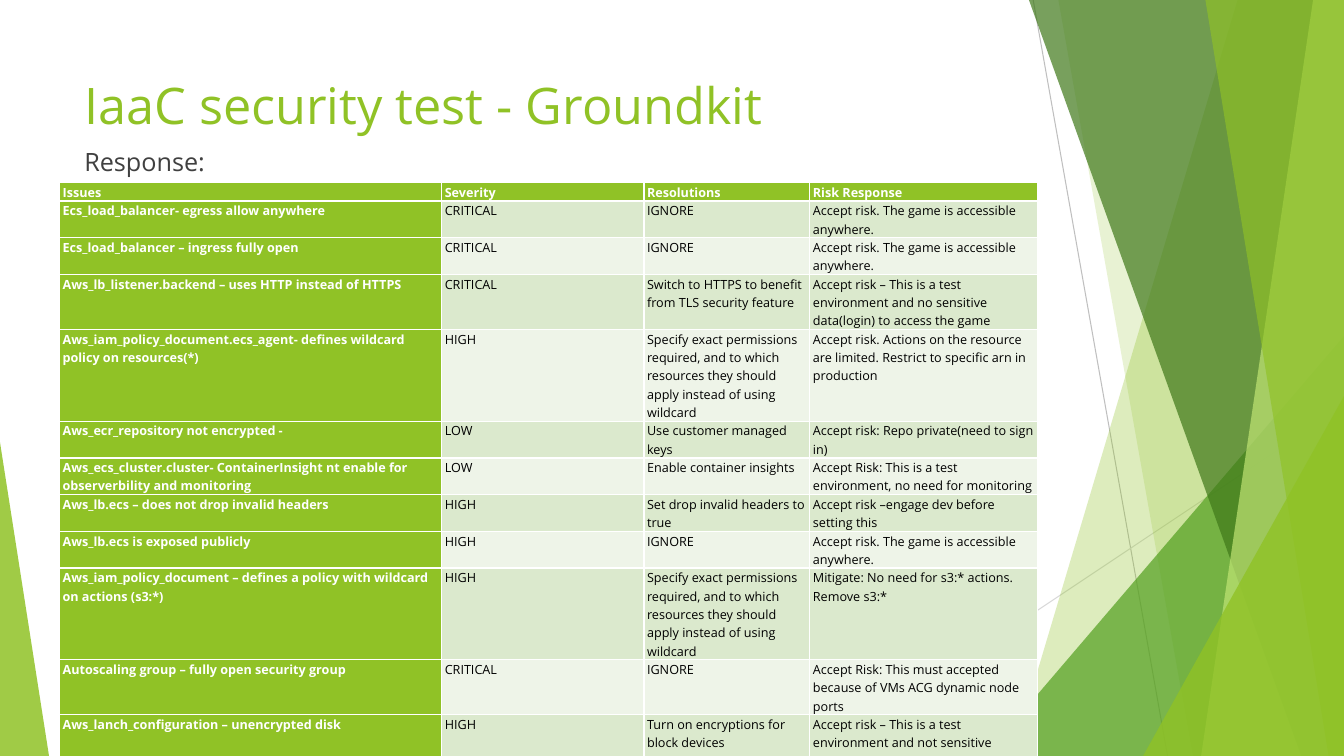
from dataclasses import dataclass

from lxml import etree
from pptx import Presentation
from pptx.dml.color import RGBColor
from pptx.enum.shapes import MSO_CONNECTOR, MSO_SHAPE
from pptx.enum.text import MSO_ANCHOR, MSO_AUTO_SIZE, PP_ALIGN
from pptx.oxml.ns import qn
from pptx.util import Pt

STRAIGHT = MSO_CONNECTOR.STRAIGHT
TRIANGLE = MSO_SHAPE.ISOSCELES_TRIANGLE
NO_AUTOFIT = MSO_AUTO_SIZE.NONE
MIDDLE, TOP = MSO_ANCHOR.MIDDLE, MSO_ANCHOR.TOP
LEFT = PP_ALIGN.LEFT
WIDTH, HEIGHT = 960, 540


@dataclass(frozen=True)
class Theme:
    """Colours, font and type sizes."""
    font: str = "Open Sans"
    title_size: int = 36
    body_size: int = 18
    cell_size: int = 9
    accent: str = "90C226"
    green: str = "54A021"
    dark_green: str = "3F7819"
    pale_green: str = "C0E474"
    odd_row: str = "DBE9CD"
    even_row: str = "EEF4E8"
    body_text: str = "404040"
    cell_text: str = "000000"
    header_text: str = "FFFFFF"
    steep_line: str = "BFBFBF"
    flat_line: str = "D9D9D9"


@dataclass(frozen=True)
class Ray:
    """A thin line between two points."""
    x1: float
    y1: float
    x2: float
    y2: float
    color: str


@dataclass(frozen=True)
class Band:
    """A full-height area from a slanted left edge to the right slide edge."""
    top_x: float
    bottom_x: float
    color: str
    opacity: int


@dataclass(frozen=True)
class Wedge:
    """A triangle on the bottom slide edge, with its apex at a share of its width."""
    left: float
    top: float
    width: float
    apex: float
    color: str
    opacity: int


@dataclass(frozen=True)
class Issue:
    """One table row and its least height."""
    name: str
    severity: str
    resolution: str
    response: str
    height: float


T = Theme()

DECORATION = [
    Ray(738, 0, 834, HEIGHT, T.steep_line),
    Ray(WIDTH, 290, 585, HEIGHT, T.flat_line),
    Band(884, 723, T.accent, 30),
    Band(756, 852, T.accent, 20),
    Wedge(703.5, 240, 256.5, 1, T.green, 72),
    Band(735, 929.5, T.dark_green, 70),
    Band(938, 858, T.pale_green, 70),
    Band(861, 949, T.accent, 65),
    Wedge(816.5, 283, 143.5, 1, T.accent, 80),
    Wedge(0, 316, 35, 0, T.accent, 85),
]

ACCESSIBLE = "Accept risk. The game is accessible anywhere."
TEST_ONLY = "Accept risk – This is a test environment and {} sensitive data(login) to access the game"
EXACT = ("Specify exact permissions required, and to which resources "
         "they should apply instead of using wildcard")
COLUMN_WIDTHS = [273, 144.5, 118.5, 162.5]
ISSUES = [
    Issue("Issues", "Severity", "Resolutions", "Risk Response", 8),
    Issue("Ecs_load_balancer- egress allow anywhere", "CRITICAL", "IGNORE", ACCESSIBLE, 22),
    Issue("Ecs_load_balancer – ingress fully open", "CRITICAL", "IGNORE", ACCESSIBLE, 22),
    Issue("Aws_lb_listener.backend – uses HTTP instead of HTTPS", "CRITICAL",
          "Switch to HTTPS to benefit from TLS security feature", TEST_ONLY.format("no"), 37),
    Issue("Aws_iam_policy_document.ecs_agent- defines wildcard policy on resources(*)", "HIGH",
          EXACT, "Accept risk. Actions on the resource are limited. "
          "Restrict to specific arn in production", 59),
    Issue("Aws_ecr_repository not encrypted - ", "LOW", "Use customer managed keys",
          "Accept risk: Repo private(need to sign in)", 22),
    Issue("Aws_ecs_cluster.cluster- ContainerInsight nt enable for observerbility and monitoring",
          "LOW", "Enable container insights",
          "Accept Risk: This is a test environment, no need for monitoring", 22),
    Issue("Aws_lb.ecs – does not drop invalid headers", "HIGH",
          "Set drop invalid headers to true", "Accept risk –engage dev before setting this ", 22),
    Issue("Aws_lb.ecs is exposed publicly", "HIGH", "IGNORE", ACCESSIBLE, 22),
    Issue("Aws_iam_policy_document – defines a policy with wildcard on actions (s3:*)", "HIGH",
          EXACT, "Mitigate: No need for s3:* actions. Remove s3:*", 59),
    Issue("Autoscaling group – fully open security group", "CRITICAL", "IGNORE",
          "Accept Risk: This must accepted because of VMs ACG dynamic node ports", 29.5),
    Issue("Aws_lanch_configuration – unencrypted disk", "HIGH",
          "Turn on encryptions for block devices", TEST_ONLY.format("not"), 37),
]


def style_paragraph(p, size: float, color: str, bold: bool = False) -> None:
    """Set alignment and font of a paragraph."""
    p.alignment = LEFT
    p.font.name, p.font.size, p.font.bold = T.font, Pt(size), bold
    p.font.color.rgb = RGBColor.from_string(color)


def paint(sp, color: str, opacity: int) -> None:
    """Give a shape a translucent fill, no outline and no shadow."""
    sp.fill.solid()
    sp.fill.fore_color.rgb = RGBColor.from_string(color)
    clr = sp.fill._xPr.find(".//" + qn("a:srgbClr"))
    etree.SubElement(clr, qn("a:alpha"), val=str(opacity * 1000))
    sp.line.fill.background()
    sp.shadow.inherit = False


def draw_ray(shapes, ray: Ray) -> None:
    """Draw a thin line."""
    c = shapes.add_connector(STRAIGHT, Pt(ray.x1), Pt(ray.y1), Pt(ray.x2), Pt(ray.y2))
    c.line.color.rgb = RGBColor.from_string(ray.color)
    c.line.width = Pt(0.75)
    etree.SubElement(c._element.spPr, qn("a:effectLst"))


def draw_band(shapes, band: Band) -> None:
    """Draw a slanted band."""
    builder = shapes.build_freeform(Pt(band.top_x), 0)
    corners = [(WIDTH, 0), (WIDTH, HEIGHT), (band.bottom_x, HEIGHT)]
    builder.add_line_segments([(Pt(x), Pt(y)) for x, y in corners])
    paint(builder.convert_to_shape(), band.color, band.opacity)


def draw_wedge(shapes, wedge: Wedge) -> None:
    """Draw a triangle that stands on the bottom edge."""
    sp = shapes.add_shape(TRIANGLE, Pt(wedge.left), Pt(wedge.top), Pt(wedge.width),
                          Pt(HEIGHT - wedge.top))
    sp.adjustments[0] = wedge.apex
    paint(sp, wedge.color, wedge.opacity)


def fill_placeholder(sp, text: str, top: float, height: float, size: float,
                     color: str, anchor) -> None:
    """Place a placeholder in front of the decoration and write its text."""
    sp.left, sp.top, sp.width, sp.height = Pt(53), Pt(top), Pt(677), Pt(height)
    tf = sp.text_frame
    tf.text = text
    tf.auto_size, tf.vertical_anchor = NO_AUTOFIT, anchor
    style_paragraph(tf.paragraphs[0], size, color)
    tree = sp._element.getparent()
    tree.append(sp._element)


def fill_cell(cell, text: str, row: int, col: int) -> None:
    """Write and colour one table cell."""
    heading = row == 0 or col == 0
    cell.margin_left = cell.margin_right = Pt(2.25)
    cell.margin_top = cell.margin_bottom = 0
    cell.text = text
    p = cell.text_frame.paragraphs[0]
    p.line_spacing = 1.07
    style_paragraph(p, T.cell_size, T.header_text if heading else T.cell_text, heading)
    cell.fill.solid()
    fill = T.accent if heading else T.odd_row if row % 2 else T.even_row
    cell.fill.fore_color.rgb = RGBColor.from_string(fill)


def draw_issues(shapes) -> None:
    """Draw the table of issues."""
    height = sum(issue.height for issue in ISSUES)
    table = shapes.add_table(len(ISSUES), len(COLUMN_WIDTHS), Pt(42.5), Pt(130.5),
                             Pt(sum(COLUMN_WIDTHS)), Pt(height)).table
    table.first_col = True
    for column, width in zip(table.columns, COLUMN_WIDTHS):
        column.width = Pt(width)
    for row, issue in enumerate(ISSUES):
        table.rows[row].height = Pt(issue.height)
        texts = (issue.name, issue.severity, issue.resolution, issue.response)
        for col, text in enumerate(texts):
            fill_cell(table.cell(row, col), text, row, col)


prs = Presentation()
prs.slide_width, prs.slide_height = Pt(WIDTH), Pt(HEIGHT)
slide = prs.slides.add_slide(prs.slide_layouts[1])
painters = {Ray: draw_ray, Band: draw_band, Wedge: draw_wedge}
for item in DECORATION:
    painters[type(item)](slide.shapes, item)

title, body = slide.placeholders
fill_placeholder(title, "IaaC security test - Groundkit", 48, 53, T.title_size, T.accent, MIDDLE)
fill_placeholder(body, "Response: ", 101, 375, T.body_size, T.body_text, TOP)
p = body.text_frame.paragraphs[0]
p.space_before = Pt(10)
pPr = p._p.get_or_add_pPr()
pPr.set("marL", "0")
pPr.set("indent", "0")
pPr.insert_element_before(etree.Element(qn("a:buNone")), "a:tabLst", "a:defRPr", "a:extLst")
draw_issues(slide.shapes)
prs.save("out.pptx")
